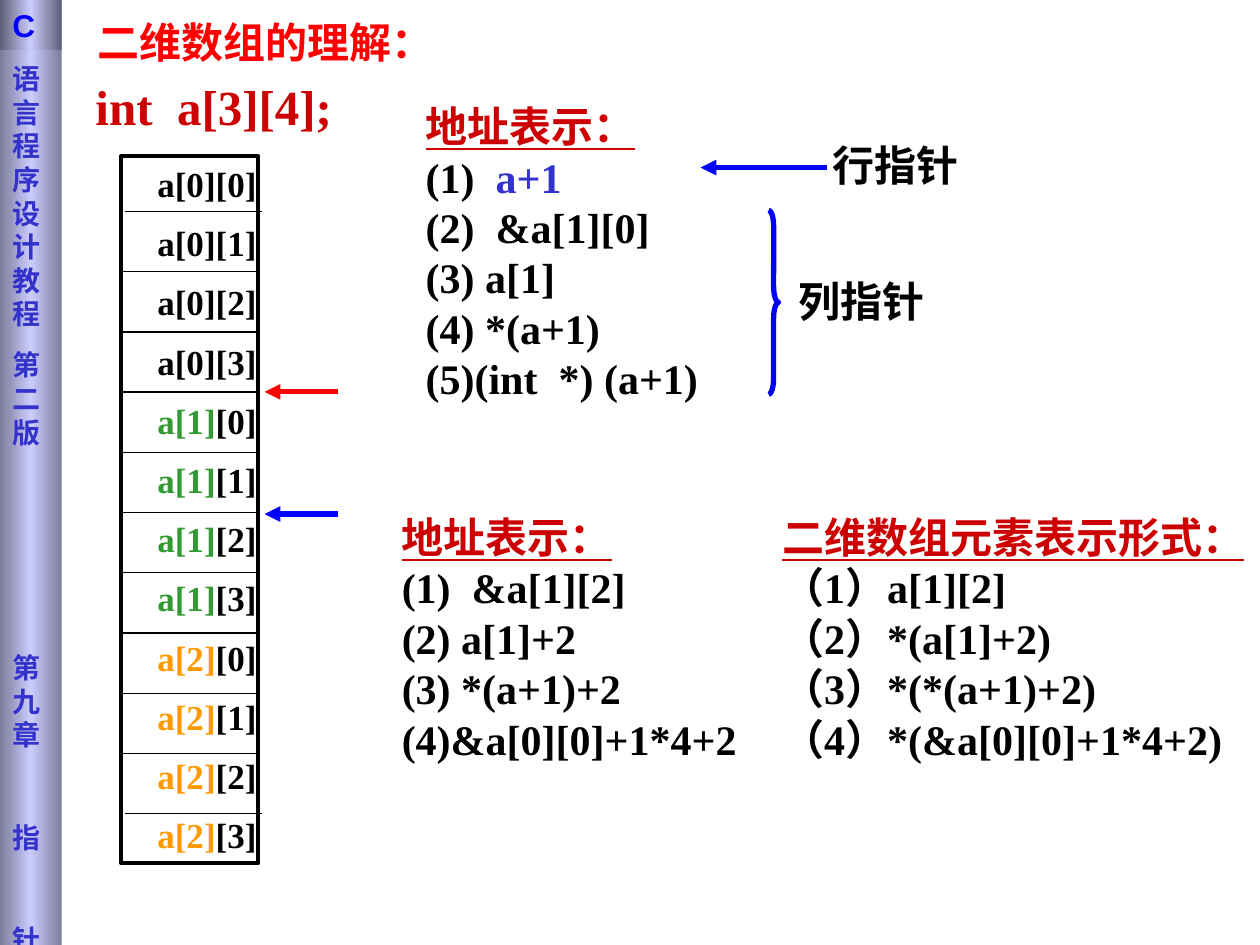
from lxml import etree
from pptx import Presentation
from pptx.dml.color import RGBColor
from pptx.enum.shapes import MSO_CONNECTOR, MSO_SHAPE
from pptx.enum.text import MSO_ANCHOR, MSO_AUTO_SIZE, PP_ALIGN
from pptx.oxml import parse_xml
from pptx.oxml.ns import nsdecls, qn
from pptx.util import Inches, Pt

RECT, BRACE = MSO_SHAPE.RECTANGLE, MSO_SHAPE.RIGHT_BRACE
LINE = MSO_CONNECTOR.STRAIGHT
TOP, MID = MSO_ANCHOR.TOP, MSO_ANCHOR.MIDDLE
LEFT, MAIN = PP_ALIGN.LEFT, PP_ALIGN.CENTER
FIXED = MSO_AUTO_SIZE.NONE
SERIF = "Times New Roman"
BLACK, RED, DARK, BLUE, INDIGO = "000000", "FF0000", "CC0000", "0000FF", "3333CC"

TITLE = "二维数组的理解："
CODE = "int  a[3][4];"
TINTS = [BLACK, "339933", "FF9900"]
COLS = 4
LISTS = [
    ((3.28, 0.75, 2.36, 2.5), "地址表示：", [
        [("(1)  ", BLACK), ("a+1", INDIGO)], "(2)  &a[1][0]", "(3) a[1]",
        "(4) *(a+1)", "(5)(int  *) (a+1)"]),
    ((3.09, 4.01, 2.85, 2.1), "地址表示：", [
        "(1)  &a[1][2]", "(2) a[1]+2", "(3) *(a+1)+2", "(4)&a[0][0]+1*4+2"]),
    ((6.11, 4.01, 3.93, 2.1), "二维数组元素表示形式：", [
        "（1）a[1][2]", "（2）*(a[1]+2)", "（3）*(*(a+1)+2)",
        "（4）*(&a[0][0]+1*4+2)"]),
]
LABELS = [((6.51, 1.06, 1.2, 0.5), "行指针"), ((6.24, 2.14, 1.2, 0.5), "列指针")]
ARROWS = [(2.68, 2.1, 3.11, RED), (6.56, 5.56, 1.33, BLUE), (2.68, 2.1, 4.08, BLUE)]
SIDE = [("语言程序设计教程", 0), ("第二版", 10), ("第九章", 115.5), ("指", 39.5), ("针", 39)]


def rgb(code):
    return RGBColor.from_string(code)


def place(shape, box):
    shape.left, shape.top, shape.width, shape.height = map(Inches, box)


def write(shape, lines, size, font=SERIF, wrap=False, anchor=TOP, align=LEFT):
    frame = shape.text_frame
    frame.auto_size, frame.word_wrap, frame.vertical_anchor = FIXED, wrap, anchor
    for i, parts in enumerate(lines):
        para = frame.add_paragraph() if i else frame.paragraphs[0]
        para.alignment = align
        para.line_spacing = Pt(size * 1.2)
        para.space_before = Pt(0)
        for text, tint in parts:
            run = para.add_run()
            run.text = text
            run.font.name, run.font.size, run.font.bold = font, Pt(size), True
            run.font.color.rgb = rgb(tint)
    return frame


def label(box, lines, size, **style):
    return write(slide.shapes.add_textbox(*map(Inches, box)), lines, size, **style)


def shape(kind, box, width=0, tint=BLACK):
    item = slide.shapes.add_shape(kind, *map(Inches, box))
    item.shadow.inherit = False
    item.fill.background()
    if width:
        item.line.width = Pt(width)
        item.line.color.rgb = rgb(tint)
    else:
        item.line.fill.background()
    return item


def line(start, end, y, width, tint, arrow=False):
    item = slide.shapes.add_connector(LINE, *map(Inches, (start, y, end, y)))
    item.line.width = Pt(width)
    item.line.color.rgb = rgb(tint)
    if arrow:
        etree.SubElement(item.line._get_or_add_ln(), qn("a:tailEnd"), type="triangle")
    etree.SubElement(item._element.spPr, qn("a:effectLst"))


def shade(item, edge):
    stops = "".join(
        f'<a:gs pos="{pos}"><a:srgbClr val="{tint}"/></a:gs>'
        for pos, tint in ((0, edge), (50000, "CCCCFF"), (100000, edge)))
    props = item._element.spPr
    props.remove(props.find(qn("a:noFill")))
    props.insert(2, parse_xml(
        f'<a:gradFill {nsdecls("a")}><a:gsLst>{stops}</a:gsLst>'
        '<a:lin ang="0" scaled="0"/></a:gradFill>'))


deck = Presentation()
deck.slide_width, deck.slide_height = Inches(10), Inches(7.5)
slide = deck.slides.add_slide(deck.slide_layouts[5])
title = slide.shapes.title
place(title, (0.67, 0.08, 3.15, 0.5))
write(title, [[(TITLE, RED)]], 24, wrap=True)
label((0.66, 0.56, 2.07, 0.57), [[(CODE, DARK)]], 28)

shape(RECT, (0.96, 1.24, 1.09, 5.61), 2.25)
count = len(TINTS) * COLS
for i in range(count):
    row, col = divmod(i, COLS)
    parts = [(f"a[{row}]", TINTS[row]), (f"[{col}]", BLACK)]
    label((1.15, 1.24 + 0.47 * i, 0.99, 0.44), [parts], 20)
    if i:
        left = 0.99 if i in (1, count - 1) else 0.97
        line(left, left + 1.09, 1.2 + 0.478 * i, 0.75, BLACK)

for box, head, items in LISTS:
    rows = [[(item, BLACK)] if isinstance(item, str) else item for item in items]
    frame = label(box, [[(head, DARK)]] + rows, 24, anchor=MID)
    frame.paragraphs[0].runs[0].font.underline = True
for box, text in LABELS:
    label(box, [[(text, BLACK)]], 24, anchor=MID, align=MAIN)
for start, end, y, tint in ARROWS:
    line(start, end, y, 3, tint, True)
brace = shape(BRACE, (6.1, 1.67, 0.08, 1.46), 3, BLUE)
brace.adjustments[0] = 1.55

side = shape(RECT, (0, 0, 0.49, 7.5))
shade(side, "7B7B9A")
frame = write(side, [[(text, INDIGO)] for text, _ in SIDE], 16, "DejaVu Sans", True)
frame.margin_top = Inches(0.49)
for para, (_, gap) in zip(frame.paragraphs, SIDE):
    para.space_before = Pt(gap)
badge = shape(RECT, (0, 0, 0.49, 0.4))
shade(badge, "5E5E75")
write(badge, [[("C", BLUE)]], 18, "Arial", True)

deck.save("out.pptx")
